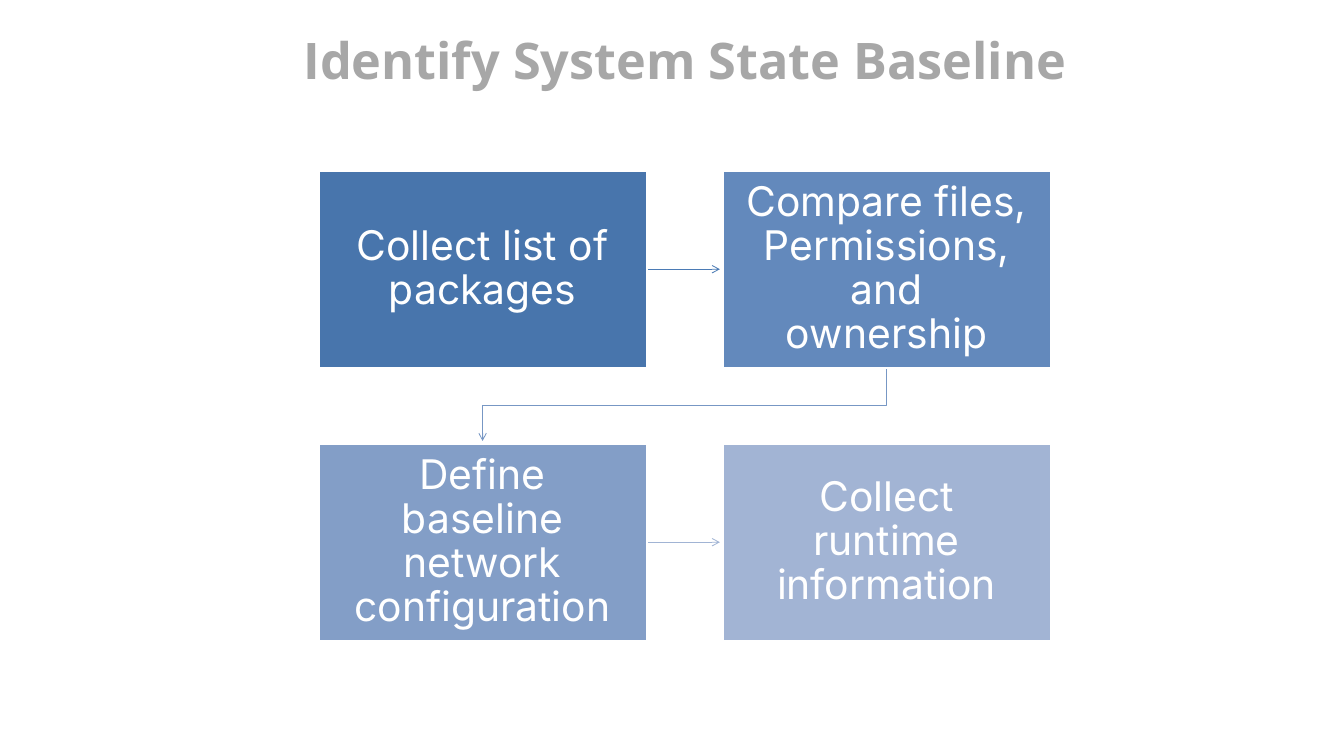
from dataclasses import dataclass

from lxml import etree
from pptx import Presentation
from pptx import util as u
from pptx.dml.color import RGBColor
from pptx.enum import shapes, text
from pptx.oxml.ns import qn

COLORS = {
    "title": "A7A7A7",
    "white": "FFFFFF",
    "packages": "4875AC",
    "files": "6389BC",
    "network": "839EC7",
    "runtime": "A2B4D4",
    "to_files": "4B7BB5",
    "to_network": "7797C4",
    "to_runtime": "A1B4D4",
}

# Grid of two columns and two rows
LEFT, TOP = 3.79, 2.03
STEP_W, STEP_H = 3.91, 2.35
PITCH_X, PITCH_Y = 4.81, 3.25
ARROW_GAP = 0.03


@dataclass(frozen=True)
class Step:
    label: str
    color: str
    column: int
    row: int

    @property
    def left(self) -> float:
        return LEFT + self.column * PITCH_X

    @property
    def top(self) -> float:
        return TOP + self.row * PITCH_Y


@dataclass(frozen=True)
class TextStyle:
    font: dict
    color: str
    inset: float
    paragraph: dict


TITLE_STYLE = TextStyle(
    {"name": "Open Sans", "size": u.Pt(43.2), "bold": True}, "title", 0.07, {})
STEP_STYLE = TextStyle(
    {"name": "Inter", "size": u.Pt(35), "bold": False}, "white", 0.27,
    {"line_spacing": 0.9})

PACKAGES = Step("Collect list of packages", "packages", 0, 0)
FILES = Step("Compare files, Permissions, and ownership", "files", 1, 0)
NETWORK = Step("Define baseline network configuration", "network", 0, 1)
RUNTIME = Step("Collect runtime information", "runtime", 1, 1)


def rgb(name: str) -> RGBColor:
    return RGBColor.from_string(COLORS[name])


def set_all(target, values: dict) -> None:
    for attribute, value in values.items():
        setattr(target, attribute, value)


def write(shape, wording: str, style: TextStyle) -> None:
    frame = shape.text_frame
    inset = u.Inches(style.inset)
    set_all(frame, {
        "word_wrap": True,
        "vertical_anchor": text.MSO_ANCHOR.MIDDLE,
        "margin_left": inset, "margin_right": inset,
        "margin_top": inset, "margin_bottom": inset,
    })
    paragraph = frame.paragraphs[0]
    set_all(paragraph, {"alignment": text.PP_ALIGN.CENTER, **style.paragraph})
    run = paragraph.add_run()
    run.text = wording
    set_all(run.font, style.font)
    run.font.color.rgb = rgb(style.color)


def style_arrow(arrow, color: str) -> None:
    arrow.line.color.rgb = rgb(color)
    arrow.line.width = u.Pt(0.75)
    properties = arrow.element.spPr
    outline = properties.find(qn("a:ln"))
    etree.SubElement(outline, qn("a:tailEnd"), type="arrow")
    etree.SubElement(properties, qn("a:effectLst"))


def draw_arrow(slide, start: Step, end: Step, color: str) -> None:
    middle = u.Inches(start.top + STEP_H / 2)
    arrow = slide.shapes.add_connector(
        shapes.MSO_CONNECTOR.STRAIGHT,
        u.Inches(start.left + STEP_W), middle,
        u.Inches(end.left - ARROW_GAP), middle)
    style_arrow(arrow, color)


def draw_return_arrow(slide, start: Step, end: Step, color: str) -> None:
    start_x, end_x = (step.left + STEP_W / 2 for step in (start, end))
    bottom = start.top + STEP_H
    bend = (bottom + end.top) / 2
    corners = [(start_x, bend), (end_x, bend), (end_x, end.top - ARROW_GAP)]
    builder = slide.shapes.build_freeform(
        u.Inches(start_x), u.Inches(bottom))
    builder.add_line_segments(
        [(u.Inches(x), u.Inches(y)) for x, y in corners], close=False)
    arrow = builder.convert_to_shape()
    arrow.fill.background()
    style_arrow(arrow, color)


def draw_step(slide, step: Step) -> None:
    box = slide.shapes.add_shape(
        shapes.MSO_SHAPE.RECTANGLE, u.Inches(step.left), u.Inches(step.top),
        u.Inches(STEP_W), u.Inches(STEP_H))
    box.shadow.inherit = False
    box.fill.solid()
    box.fill.fore_color.rgb = rgb(step.color)
    box.line.color.rgb = rgb("white")
    box.line.width = u.Pt(2)
    write(box, step.label, STEP_STYLE)


def main() -> None:
    deck = Presentation()
    deck.slide_width, deck.slide_height = u.Inches(16), u.Inches(9)
    slide = deck.slides.add_slide(deck.slide_layouts[6])

    # Title
    title = slide.shapes.add_textbox(
        u.Inches(2.71), u.Inches(0.4), u.Inches(10.89), u.Inches(0.62))
    write(title, "Identify System State Baseline", TITLE_STYLE)

    # Arrows between the steps
    draw_arrow(slide, PACKAGES, FILES, "to_files")
    draw_return_arrow(slide, FILES, NETWORK, "to_network")
    draw_arrow(slide, NETWORK, RUNTIME, "to_runtime")

    # Steps
    for step in (PACKAGES, FILES, NETWORK, RUNTIME):
        draw_step(slide, step)

    deck.save("out.pptx")


if __name__ == "__main__":
    main()
